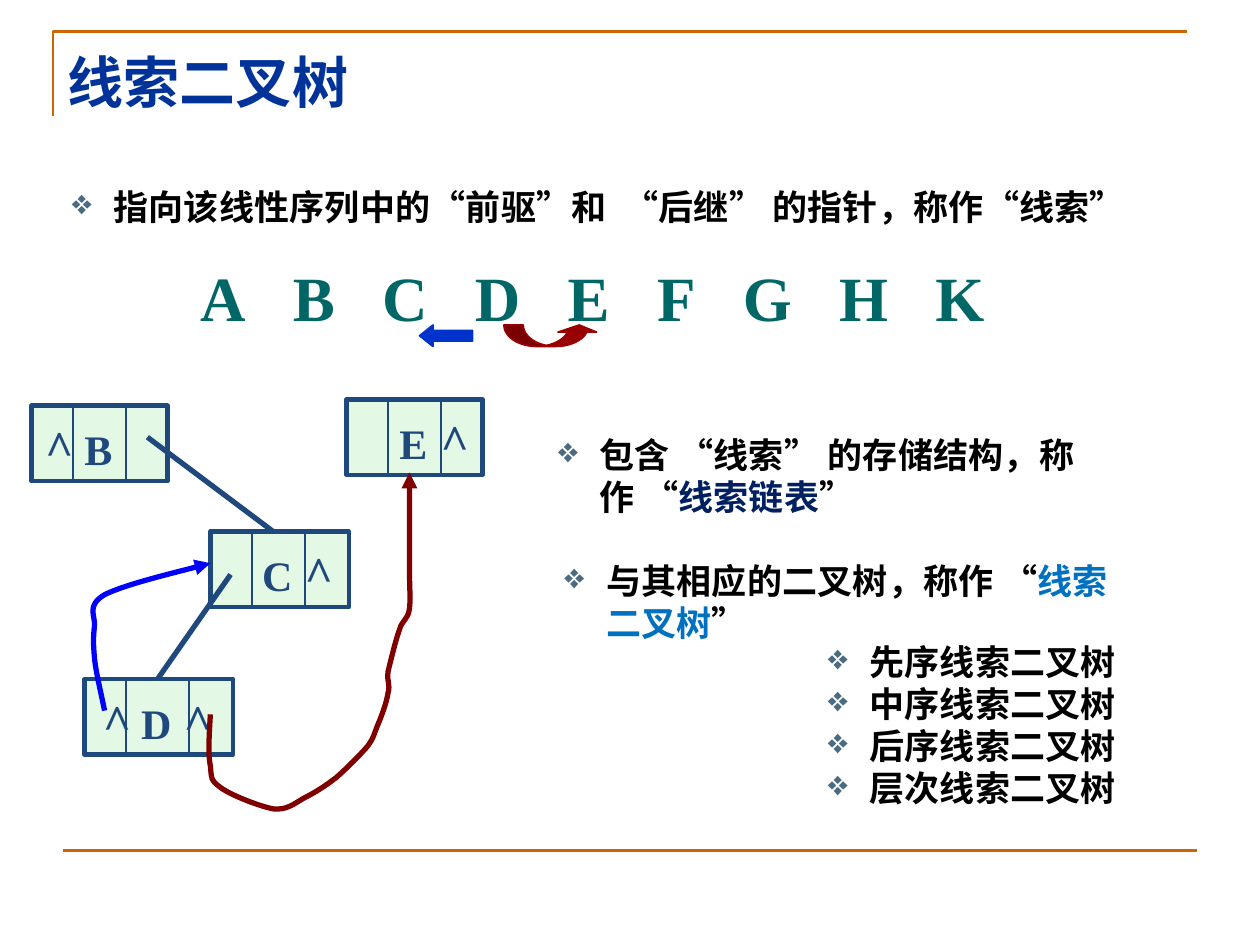
import dataclasses
import itertools
import typing

import lxml.etree
import pptx
import pptx.dml.color
import pptx.enum.shapes
import pptx.enum.text
import pptx.oxml
import pptx.oxml.ns
import pptx.util

COLUMNS, ROWS = 1000, 750
CELL = pptx.util.Inches(10) // COLUMNS
SANS, SERIF = "Noto Sans CJK SC", "Times New Roman"
ORANGE, NAVY, BLACK = "CC6600", "1F497D", "000000"
SHAPES = pptx.enum.shapes.MSO_SHAPE

Point = tuple[int, int]


@dataclasses.dataclass(frozen=True)
class Span:
    """A stretch of text in one colour."""
    text: str
    color: str = BLACK


@dataclasses.dataclass(frozen=True)
class BulletBox:
    """A bulleted block; each item is a list of spans."""
    left: int
    top: int
    width: int
    height: int
    items: list[list[Span]]


@dataclasses.dataclass(frozen=True)
class Node:
    """A tree node with left pointer, letter and right pointer."""
    left: int
    top: int
    width: int
    cells: tuple[str, str, str]
    right_divider: int = 75
    left_divider: int = 33
    height: int = 60


@dataclasses.dataclass(frozen=True)
class Thread:
    """A curved pointer: a start point, then three points per Bezier piece."""
    color: str
    points: list[Point]


BULLETS = [
    BulletBox(56, 125, 847, 56, [[Span("指向该线性序列中的“前驱”和  “后继” 的指针，称作“线索”")]]),
    BulletBox(442, 322, 433, 90, [[
        Span("包含 “线索” 的存储结构，称作 “"), Span("线索链表", "002060"), Span("”")]]),
    BulletBox(447, 422, 433, 90, [[
        Span("与其相应的二叉树，称作 “"), Span("线索二叉树", "0070C0"), Span("”")]]),
    BulletBox(656, 486, 433, 157, [[Span(f"{order}线索二叉树")] for order in ("先序", "中序", "后序", "层次")]),
]
NODES = [
    Node(67, 539, 118, ("^", "D", "^"), right_divider=83),
    Node(167, 422, 110, ("", "C", "^")),
    Node(25, 322, 108, ("^", "B", "")),
    Node(275, 317, 108, ("", "E", "^")),
]
CHILD_LINKS = [((117, 347), (217, 422)), ((183, 456), (125, 539))]
THREADS = [
    Thread("0000FF", [
        (83, 564), (80, 549), (76, 533), (75, 522), (74, 511), (74, 506), (75, 497),
        (76, 489), (68, 481), (83, 472), (99, 464), (153, 451), (167, 447)]),
    Thread("800000", [
        (167, 567), (166, 583), (165, 599), (167, 608), (168, 618), (167, 619), (175, 625),
        (183, 631), (206, 640), (217, 642), (228, 643), (233, 638), (242, 633),
        (250, 629), (258, 624), (267, 617), (275, 610), (286, 599), (292, 592),
        (297, 585), (297, 582), (300, 575), (303, 568), (307, 557), (308, 550),
        (310, 543), (307, 542), (308, 533), (310, 525), (314, 508), (317, 500),
        (319, 492), (324, 492), (325, 483), (326, 475), (325, 468), (325, 450),
        (325, 432), (325, 403), (325, 375)]),
]
LETTER_WIDTHS = dict(A=36.1, B=33.4, C=36.1, D=36.1, E=33.4, F=30.6, G=38.9, H=38.9, K=38.9)
LETTER_GAP = 37.5


def rgb(color: str) -> pptx.dml.color.RGBColor:
    """Turn a hex string into a colour."""
    return pptx.dml.color.RGBColor.from_string(color)


def grid(*lengths: float) -> list[int]:
    """Turn grid lengths into slide lengths."""
    return [round(length * CELL) for length in lengths]


def add_xml(parent: typing.Any, tag: str, **attributes: str) -> typing.Any:
    """Append a drawing element to a parent."""
    child = lxml.etree.SubElement(parent, pptx.oxml.ns.qn(tag))
    for name, value in attributes.items():
        child.set(name, value)
    return child


def style_run(run: typing.Any, size: float, color: str, font: str) -> None:
    """Set a bold run's font, size and colour."""
    run.font.size = pptx.util.Pt(size)
    run.font.bold = True
    run.font.color.rgb = rgb(color)
    run.font.name = font
    add_xml(run.font._element, "a:ea", typeface=font)


def style_line(shape: typing.Any, color: str, weight: float) -> None:
    """Set the line colour and weight of a shape."""
    shape.line.color.rgb = rgb(color)
    shape.line.width = pptx.util.Pt(weight)


def set_tabs(paragraph: typing.Any, stops: typing.Iterable[float], align: str) -> None:
    """Give a paragraph its tab stops."""
    tabs = add_xml(paragraph._p.get_or_add_pPr(), "a:tabLst")
    for position in grid(*stops):
        add_xml(tabs, "a:tab", pos=str(position), algn=align)


def set_insets(frame: typing.Any, left: float, top: float) -> None:
    """Set left and top insets and clear the other two."""
    frame.margin_left, frame.margin_top = grid(left, top)
    frame.margin_right = frame.margin_bottom = 0


def add_text_frame(slide: typing.Any, box: tuple[int, int, int, int], left: float, top: float) -> typing.Any:
    """Add a wrapping text box and return its frame."""
    frame = slide.shapes.add_textbox(*grid(*box)).text_frame
    frame.word_wrap = True
    set_insets(frame, left, top)
    return frame


def add_line(slide: typing.Any, start: Point, end: Point, color: str, weight: float) -> None:
    """Draw a straight line without shadow."""
    connector = slide.shapes.add_connector(
        pptx.enum.shapes.MSO_CONNECTOR.STRAIGHT, *grid(*start, *end))
    style_line(connector, color, weight)
    add_xml(connector._element.spPr, "a:effectLst")


def add_outline(slide: typing.Any, points: list[Point], color: str, weight: float) -> typing.Any:
    """Draw an open, unfilled outline."""
    builder = slide.shapes.build_freeform(*points[0], scale=CELL)
    builder.add_line_segments(points[1:], close=False)
    outline = builder.convert_to_shape()
    outline.shadow.inherit = False
    outline.fill.background()
    style_line(outline, color, weight)
    return outline


def add_thread(slide: typing.Any, thread: Thread) -> None:
    """Draw a curved pointer ending in an arrowhead."""
    outline = add_outline(slide, thread.points, thread.color, 3)
    path = next(outline._element.iter(pptx.oxml.ns.qn("a:path")))
    segments = path.findall(pptx.oxml.ns.qn("a:lnTo"))
    for first in range(0, len(segments), 3):
        curve = add_xml(path, "a:cubicBezTo")
        for segment in segments[first:first + 3]:
            curve.append(segment[0])
            path.remove(segment)
    add_xml(outline.line._get_or_add_ln(), "a:tailEnd", type="triangle")


def add_arrow(slide: typing.Any, kind: typing.Any, box: tuple[int, int, int, int],
              color: str, adjustments: list[float]) -> None:
    """Draw a block arrow."""
    arrow = slide.shapes.add_shape(kind, *grid(*box))
    arrow.shadow.inherit = False
    for index, value in enumerate(adjustments):
        arrow.adjustments[index] = value
    arrow.fill.solid()
    arrow.fill.fore_color.rgb = rgb(color)
    style_line(arrow, color, 1)


def add_bullets(slide: typing.Any, block: BulletBox) -> None:
    """Write a block of bulleted items."""
    frame = add_text_frame(slide, (block.left, block.top, block.width, block.height), 0, 22)
    for index, item in enumerate(block.items):
        paragraph = frame.add_paragraph() if index else frame.paragraphs[0]
        properties = paragraph._p.get_or_add_pPr()
        margin, indent = grid(34, -33)
        properties.set("marL", str(margin))
        properties.set("indent", str(indent))
        add_xml(add_xml(properties, "a:buClr"), "a:srgbClr", val="4B6C80")
        add_xml(properties, "a:buChar", char="❖")
        for span in item:
            run = paragraph.add_run()
            run.text = span.text
            style_run(run, 20, span.color, SANS)
            run.font._element.set("spc", "10")


def add_node(slide: typing.Any, node: Node) -> None:
    """Draw a three-part tree node."""
    body = slide.shapes.add_shape(SHAPES.RECTANGLE, *grid(node.left, node.top, node.width, node.height))
    body.shadow.inherit = False
    body.fill.solid()
    body.fill.fore_color.rgb = rgb("CAF2CE")
    add_xml(next(body._element.spPr.iter(pptx.oxml.ns.qn("a:srgbClr"))), "a:alpha", val="50000")
    style_line(body, NAVY, 2.5)
    frame = body.text_frame
    set_insets(frame, 0, 4)
    frame.vertical_anchor = pptx.enum.text.MSO_ANCHOR.MIDDLE
    paragraph = frame.paragraphs[0]
    paragraph.alignment = pptx.enum.text.PP_ALIGN.LEFT
    middle = (node.left_divider + node.right_divider) / 2 - 1
    set_tabs(paragraph, (middle - 31, middle, middle + 33), "ctr")
    for cell, size in zip(node.cells, (28, 24, 28)):
        run = paragraph.add_run()
        run.text = f"\t{cell}"
        style_run(run, size, NAVY, SERIF)
    for divider in (node.left_divider, node.right_divider):
        column = node.left + divider
        add_line(slide, (column, node.top), (column, node.top + 59), NAVY, 1)


def main() -> None:
    """Build the threaded binary tree slide."""
    deck = pptx.Presentation()
    deck.slide_width, deck.slide_height = grid(COLUMNS, ROWS)
    slide = deck.slides.add_slide(deck.slide_layouts[6])
    add_outline(slide, [(42, 92), (42, 25), (942, 25)], ORANGE, 1.5)
    add_line(slide, (50, 675), (950, 675), ORANGE, 1.5)
    title = add_text_frame(slide, (53, 36, 414, 56), 1, 2)
    title.text = "线索二叉树"
    style_run(title.paragraphs[0].runs[0], 32, "003399", SANS)
    sequence = add_text_frame(slide, (149, 200, 642, 70), 10, 5)
    sequence.text = "\t".join(LETTER_WIDTHS)
    letters = sequence.paragraphs[0]
    advances = [width + LETTER_GAP for width in LETTER_WIDTHS.values()]
    set_tabs(letters, itertools.accumulate(advances[:-1]), "l")
    style_run(letters.runs[0], 36, "006666", SERIF)
    add_arrow(slide, SHAPES.CURVED_UP_ARROW, (400, 258, 75, 17), "990000", [0.9, 1.8, 0.333])
    add_arrow(slide, SHAPES.LEFT_ARROW, (333, 258, 42, 17), "0033CC", [0.5, 0.625])
    for node in NODES:
        add_node(slide, node)
    for parent, child in CHILD_LINKS:
        add_line(slide, parent, child, NAVY, 3)
    for thread in THREADS:
        add_thread(slide, thread)
    for block in BULLETS:
        add_bullets(slide, block)
    deck.save("out.pptx")


if __name__ == "__main__":
    main()
